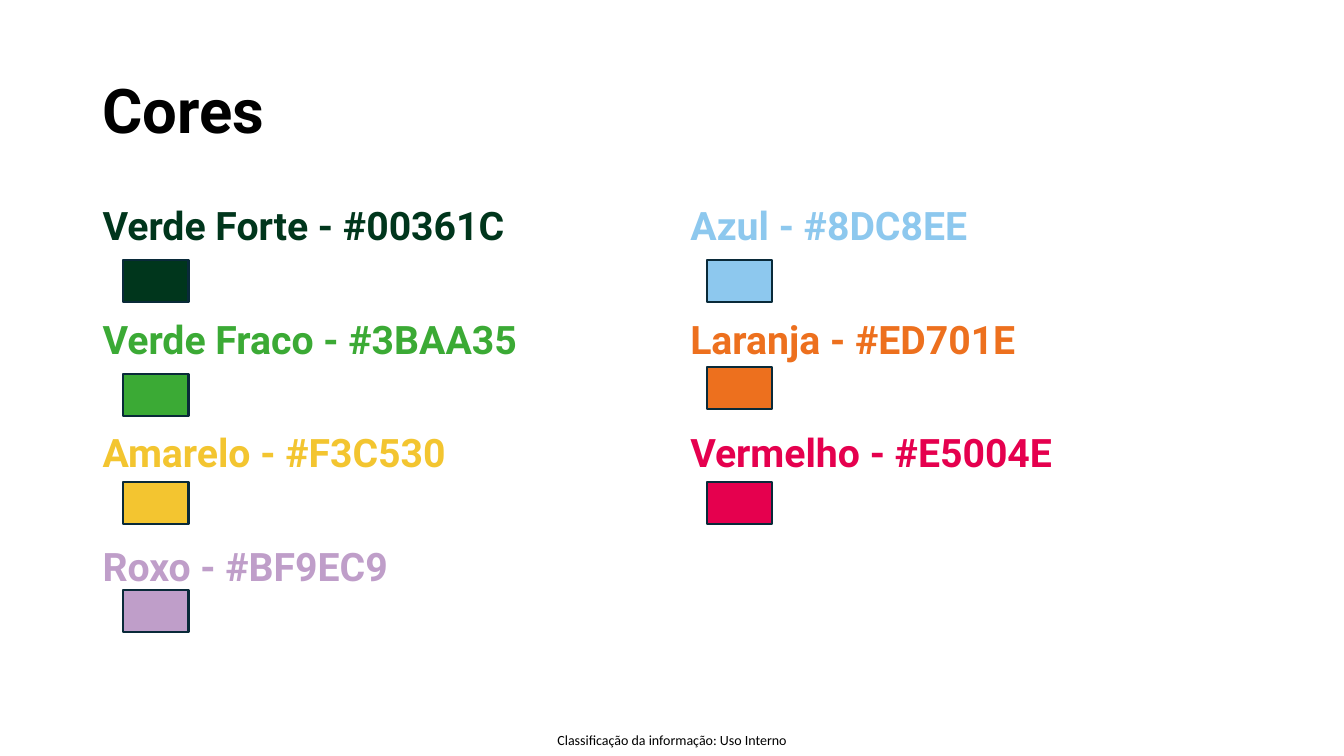
from dataclasses import dataclass

import pptx
import pptx.dml.color
import pptx.enum.shapes
import pptx.enum.text
import pptx.util

Pt = pptx.util.Pt


@dataclass(frozen=True)
class Theme:
    ink: str = "000000"
    swatch_border: str = "092A39"
    heading_font: str = "Roboto"
    footer_font: str = "Calibri"
    title_size: float = 44
    label_size: float = 28
    footer_size: float = 10


THEME = Theme()

# Each column: text left, swatch left, then (name, colour, swatch top)
PALETTE = [
    (66.24, 87.84, [
        ("Verde Forte", "00361C", 185.76),
        ("Verde Fraco", "3BAA35", 267.12),
        ("Amarelo", "F3C530", 344.16),
        ("Roxo", "BF9EC9", 421.2),
    ]),
    (486, 504.72, [
        ("Azul", "8DC8EE", 185.76),
        ("Laranja", "ED701E", 262.08),
        ("Vermelho", "E5004E", 344.16),
    ]),
]
FIRST_GAP, LABEL_GAP = 10, 51


def rgb(value):
    return pptx.dml.color.RGBColor.from_string(value)


def add_frame(slide, left, top, width, height, inset=(7.2, 3.6), middle=False, wrap=True):
    frame = slide.shapes.add_textbox(Pt(left), Pt(top), Pt(width), Pt(height)).text_frame
    frame.word_wrap = wrap
    frame.margin_left = frame.margin_right = Pt(inset[0])
    frame.margin_top = frame.margin_bottom = Pt(inset[1])
    anchor = pptx.enum.text.MSO_ANCHOR
    frame.vertical_anchor = anchor.MIDDLE if middle else anchor.TOP
    return frame


def write(paragraph, text, *, size, font, color, bold=False, spacing=1.0, before=0):
    paragraph.line_spacing = spacing
    paragraph.space_before = Pt(before)
    run = paragraph.add_run()
    run.text = text
    run.font.size = Pt(size)
    run.font.name = font
    run.font.bold = bold
    run.font.color.rgb = rgb(color)


def add_swatch(slide, left, top, color):
    swatch = slide.shapes.add_shape(
        pptx.enum.shapes.MSO_SHAPE.RECTANGLE, Pt(left), Pt(top), Pt(46.8), Pt(30.24))
    swatch.shadow.inherit = False
    swatch.fill.solid()
    swatch.fill.fore_color.rgb = rgb(color)
    swatch.line.color.rgb = rgb(THEME.swatch_border)
    swatch.line.width = Pt(1.5)


def add_color_column(slide, text_left, swatch_left, colors):
    labels = add_frame(slide, text_left, 144, 408.24, 342.72)
    for index, (name, color, swatch_top) in enumerate(colors):
        label = labels.add_paragraph() if index else labels.paragraphs[0]
        write(label, f"{name} - #{color}", size=THEME.label_size, font=THEME.heading_font,
              color=color, bold=True, spacing=0.9, before=LABEL_GAP if index else FIRST_GAP)
        add_swatch(slide, swatch_left, swatch_top, color)


def main():
    deck = pptx.Presentation()
    deck.slide_width, deck.slide_height = Pt(960), Pt(540)
    slide = deck.slides.add_slide(deck.slide_layouts[6])

    # Classification footer
    footer = add_frame(slide, 398.16, 522.72, 166.32, 12.24, inset=(0, 0), wrap=False)
    write(footer.paragraphs[0], "Classificação da informação: Uso Interno",
          size=THEME.footer_size, font=THEME.footer_font, color=THEME.ink)

    # Title
    title = add_frame(slide, 66.24, 28.8, 828, 104.4, middle=True)
    write(title.paragraphs[0], "Cores", size=THEME.title_size, font=THEME.heading_font,
          color=THEME.ink, bold=True, spacing=0.9)

    # Colour names with their swatches
    for text_left, swatch_left, colors in PALETTE:
        add_color_column(slide, text_left, swatch_left, colors)

    deck.save("out.pptx")


if __name__ == "__main__":
    main()
